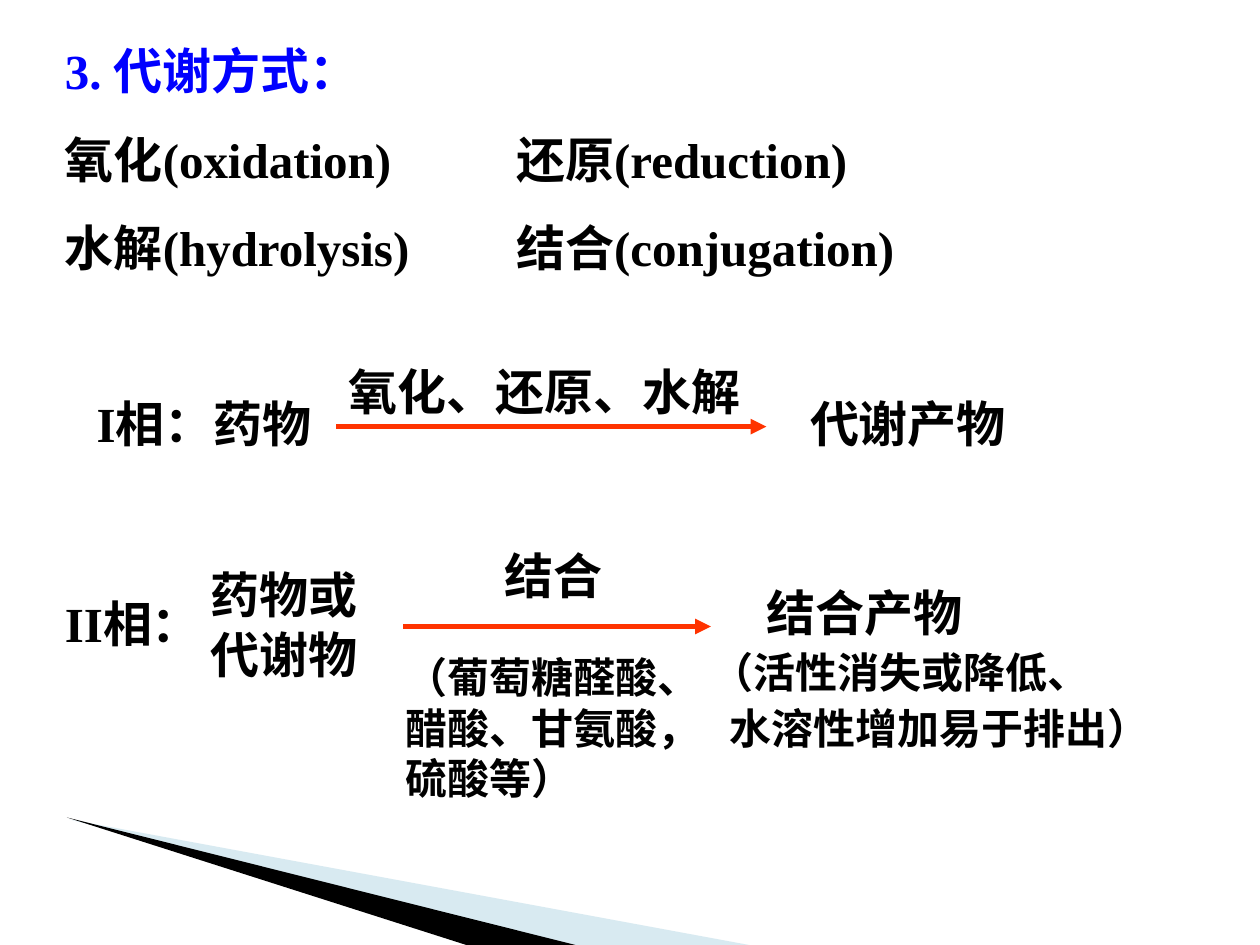
from lxml import etree
from pptx import Presentation
from pptx import util as u
from pptx.dml.color import RGBColor
from pptx.enum import shapes, text
from pptx.oxml.ns import qn

BLACK = RGBColor(0x00, 0x00, 0x00)
BLUE = RGBColor(0x00, 0x00, 0xFF)
RED = RGBColor(0xFF, 0x33, 0x00)
PALE_BLUE = RGBColor(0x9F, 0xCB, 0xDC)
LATIN_FONT = "Times New Roman"
CHINESE_FONT = "Noto Sans CJK SC"
LINE_HEIGHTS = {28: 34, 24: 29}


def add_text(slide, left, top, width, height, content, size=28):
    box = slide.shapes.add_textbox(u.Cm(left), u.Cm(top), u.Cm(width), u.Cm(height))
    frame = box.text_frame
    frame.word_wrap = True
    frame.auto_size = text.MSO_AUTO_SIZE.NONE
    frame.text = content
    for paragraph in frame.paragraphs:
        format_paragraph(paragraph, size)
    return frame


def format_paragraph(paragraph, size):
    paragraph.line_spacing = u.Pt(LINE_HEIGHTS[size])
    for run in paragraph.runs:
        run.font.size = u.Pt(size)
        run.font.bold = True
        run.font.color.rgb = BLACK
        run.font.name = LATIN_FONT if any(c.isascii() for c in run.text) else CHINESE_FONT
        east_asian = etree.Element(qn("a:ea"), typeface=CHINESE_FONT)
        run.font._element.find(qn("a:latin")).addnext(east_asian)


presentation = Presentation()
presentation.slide_width = u.Cm(25.4)
presentation.slide_height = u.Cm(19.05)
slide = presentation.slides.add_slide(presentation.slide_layouts[6])

wedges = [
    (PALE_BLUE, 40, [(1.4, 16.52), (15.1, 19.05), (11.58, 19.05)]),
    (BLACK, 100, [(1.35, 16.48), (11.6, 19.05), (9.4, 19.05)]),
]
for color, opacity, corners in wedges:
    points = [(u.Cm(x), u.Cm(y)) for x, y in corners]
    builder = slide.shapes.build_freeform(*points[0])
    builder.add_line_segments(points[1:], close=True)
    wedge = builder.convert_to_shape()
    wedge.shadow.inherit = False
    wedge.line.fill.background()
    wedge.fill.solid()
    wedge.fill.fore_color.rgb = color
    fill_color = wedge.element.spPr.find(".//" + qn("a:srgbClr"))
    etree.SubElement(fill_color, qn("a:alpha"), val=str(opacity * 1000))

for left, top, width, height, content, size in [
    (1.7, 7.8, 6.55, 1.45, "I相：药物", 28),
    (6.78, 7.15, 9.53, 1.45, "氧化、还原、水解", 28),
    (16.08, 7.8, 5.5, 1.45, "代谢产物", 28),
    (7.92, 13, 6.48, 3.3, "（葡萄糖醛酸、醋酸、甘氨酸，硫酸等）", 24),
    (9.93, 10.85, 2.6, 1.45, "结合", 28),
    (1.06, 11.82, 4.5, 1.45, "II相：", 28),
    (4, 11.25, 3.6, 2.64, "药物或代谢物", 28),
]:
    add_text(slide, left, top, width, height, content, size)

product = add_text(slide, 14.1, 11.6, 10.44, 3.68, "结合产物")
product.paragraphs[0]._p.get_or_add_pPr().set("marL", str(u.Cm(1.1)))
for content, indent in [("（活性消失或降低、", 0), ("水溶性增加易于排出）", 0.35)]:
    paragraph = product.add_paragraph()
    paragraph.text = content
    format_paragraph(paragraph, 24)
    paragraph.space_before = u.Pt(3)
    paragraph._p.get_or_add_pPr().set("marL", str(u.Cm(indent)))

heading = add_text(
    slide, 1.06, 0.1, 21.5, 5.6,
    "3. 代谢方式：\n氧化(oxidation)\t还原(reduction)\n水解(hydrolysis)\t结合(conjugation)",
)
for paragraph in heading.paragraphs:
    paragraph.line_spacing = u.Pt(50.5)
for paragraph in heading.paragraphs[1:]:
    tabs = etree.SubElement(paragraph._p.get_or_add_pPr(), qn("a:tabLst"))
    etree.SubElement(tabs, qn("a:tab"), pos=str(u.Cm(9.1)), algn="l")
heading.paragraphs[0].runs[0].font.color.rgb = BLUE

for start, end, y in [(6.78, 15.45, 8.6), (8.13, 14.33, 12.63)]:
    arrow = slide.shapes.add_connector(
        shapes.MSO_CONNECTOR.STRAIGHT, u.Cm(start), u.Cm(y), u.Cm(end), u.Cm(y)
    )
    arrow.line.color.rgb = RED
    arrow.line.width = u.Pt(3)
    etree.SubElement(arrow.line._get_or_add_ln(), qn("a:tailEnd"), type="triangle")
    etree.SubElement(arrow.element.spPr, qn("a:effectLst"))

presentation.save("out.pptx")
